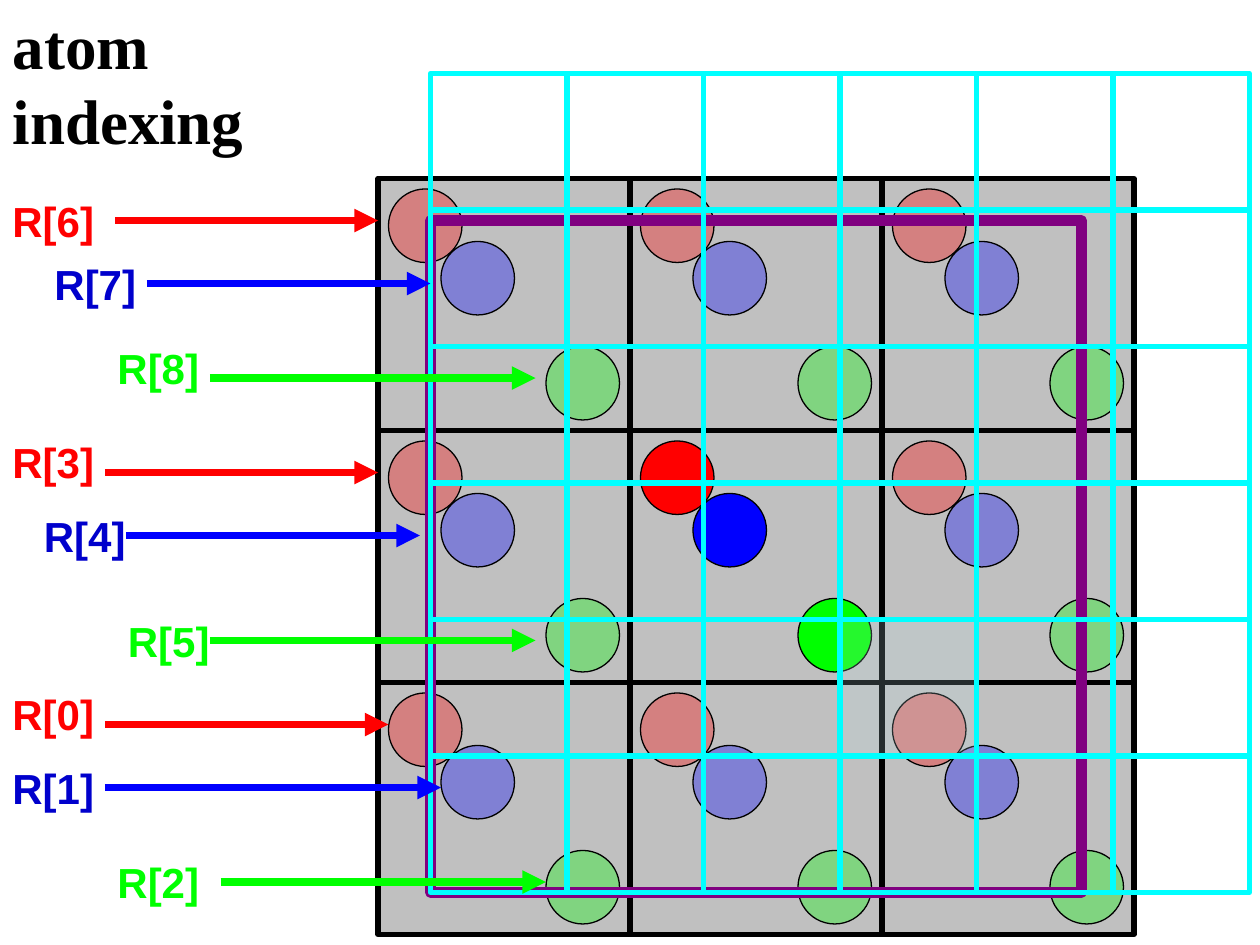
from collections import namedtuple
from itertools import product

from lxml.etree import SubElement
from pptx import Presentation
from pptx.dml.color import RGBColor
from pptx.enum.shapes import MSO_CONNECTOR as Connector, MSO_SHAPE as Preset
from pptx.enum.text import MSO_ANCHOR as Anchor, MSO_AUTO_SIZE as AutoSize, PP_ALIGN as Align
from pptx.oxml.ns import qn
from pptx.util import Inches, Pt

Box = namedtuple("Box", "left top width height")
Label = namedtuple("Label", "left top start end level")

COLORS = {
    "black": "000000", "cell": "C0C0C0", "red": "FF0000", "blue": "0000FF",
    "green": "00FF00", "navy": "0000CC", "purple": "800080", "cyan": "00FFFF",
    "tint": "BBE0E3",
}
UNIT = Inches(1) // 12
ATOM_SIZE = 7
ATOM_COLORS = ["red", "blue", "green"]
LABEL_COLORS = ["red", "navy", "green"]
ATOM_OFFSETS = [1, 6, 16]
LABELS = [
    Label(0, 65, 10, 37, 69), Label(0, 72, 10, 42, 75), Label(10, 81, 21, 52, 84),
    Label(0, 41, 10, 36, 45), Label(3, 48, 12, 40, 51), Label(11, 58, 20, 51, 61),
    Label(0, 18, 11, 36, 21), Label(4, 24, 14, 41, 27), Label(10, 32, 20, 51, 36),
]


def rgb(name):
    """Return the named colour."""
    return RGBColor.from_string(COLORS[name])


def emu(box):
    """Turn a box in grid units into slide lengths."""
    return [round(value * UNIT) for value in box]


def grid_box(box, columns, rows, column, row):
    """Return one cell of a box divided into columns and rows."""
    width, height = box.width / columns, box.height / rows
    return Box(box.left + column * width, box.top + row * height, width, height)


def add_outline(shapes, preset, box, line, width, fill=None, opacity=100):
    """Add a shape with a line and an optional, possibly see-through fill."""
    shape = shapes.add_shape(preset, *emu(box))
    shape.shadow.inherit = False
    shape.line.color.rgb, shape.line.width = rgb(line), Pt(width)
    if fill is None:
        shape.fill.background()
        return
    shape.fill.solid()
    shape.fill.fore_color.rgb = rgb(fill)
    if opacity < 100:
        color = shape.fill._xPr.find(".//" + qn("a:srgbClr"))
        SubElement(color, qn("a:alpha")).set("val", str(opacity * 1000))


def write(shape, text, **font_format):
    """Write bold left-aligned text into a shape that fits it."""
    frame = shape.text_frame
    frame.text = text
    frame_format = {
        "word_wrap": False, "auto_size": AutoSize.SHAPE_TO_FIT_TEXT,
        "vertical_anchor": Anchor.TOP,
    }
    for name, value in frame_format.items():
        setattr(frame, name, value)
    paragraph = frame.paragraphs[0]
    paragraph.alignment = Align.LEFT
    color = font_format.pop("color")
    for name, value in {"bold": True, **font_format}.items():
        setattr(paragraph.font, name, value)
    paragraph.font.color.rgb = rgb(color)


def place_title(slide, box):
    """Place the slide title."""
    title = slide.shapes.title
    title.left, title.top, title.width, title.height = emu(box)
    write(title, "atom indexing", name="Times New Roman", size=Pt(36), color="black")


def draw_lattice(slide, box, count=3):
    """Draw the unit cells with solid atoms in the middle one."""
    for row, column in product(range(count), repeat=2):
        cell = grid_box(box, count, count, column, row)
        opacity = 100 if row == column == count // 2 else 33
        add_outline(slide.shapes, Preset.RECTANGLE, cell, "black", 3, "cell")
        for offset, color in zip(ATOM_OFFSETS, ATOM_COLORS):
            atom = Box(cell.left + offset, cell.top + offset, ATOM_SIZE, ATOM_SIZE)
            add_outline(slide.shapes, Preset.OVAL, atom, "black", 0.75, color, opacity)


def draw_mesh(slide, box, count=6, tinted=(4, 3)):
    """Draw the cyan mesh as a group around one tinted square."""
    row, column = tinted
    add_outline(slide.shapes, Preset.RECTANGLE, grid_box(box, count, count, column, row),
                "cyan", 3, "tint", 20)
    group = slide.shapes.add_group_shape()
    for row, column in product(range(count), repeat=2):
        if (row, column) != tinted:
            square = grid_box(box, count, count, column, row)
            add_outline(group.shapes, Preset.RECTANGLE, square, "cyan", 3)


def add_arrow(slide, start, end, level, color):
    """Add a horizontal arrow pointing right."""
    arrow = slide.shapes.add_connector(Connector.STRAIGHT, *emu((start, level, end, level)))
    arrow.line.color.rgb, arrow.line.width = rgb(color), Pt(4.5)
    line = arrow.line._get_or_add_ln()
    SubElement(line, qn("a:tailEnd")).set("type", "triangle")
    SubElement(arrow._element.spPr, qn("a:effectLst"))


def draw_labels(slide, size):
    """Draw the atom labels and the arrows that leave them."""
    for index, label in enumerate(LABELS):
        kind = index % len(ATOM_COLORS)
        text_box = slide.shapes.add_textbox(*emu((label.left, label.top, *size)))
        write(text_box, f"R[{index}]", name="Arial", size=Pt(24), color=LABEL_COLORS[kind])
        add_arrow(slide, label.start, label.end, label.level, ATOM_COLORS[kind])


def main():
    """Build the slide and save it."""
    presentation = Presentation()
    presentation.slide_width, presentation.slide_height = Inches(10), Inches(7.5)
    slide = presentation.slides.add_slide(presentation.slide_layouts[5])
    place_title(slide, Box(0, 0, 38.9, 8.4))
    draw_lattice(slide, Box(36, 17, 72, 72))
    add_outline(slide.shapes, Preset.RECTANGLE, Box(41, 21, 62, 64), "purple", 6)
    draw_mesh(slide, Box(41, 7, 78, 78))
    draw_labels(slide, (10.2, 6))
    presentation.save("out.pptx")


if __name__ == "__main__":
    main()
